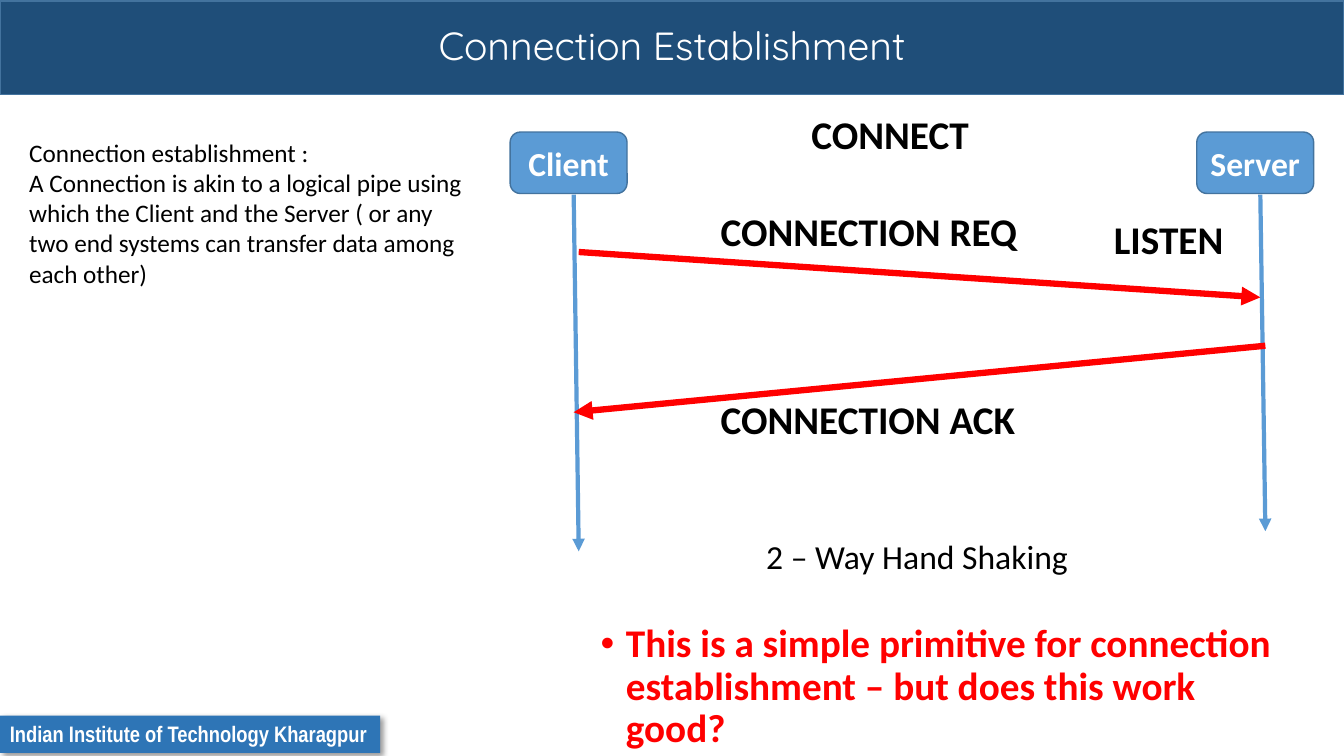
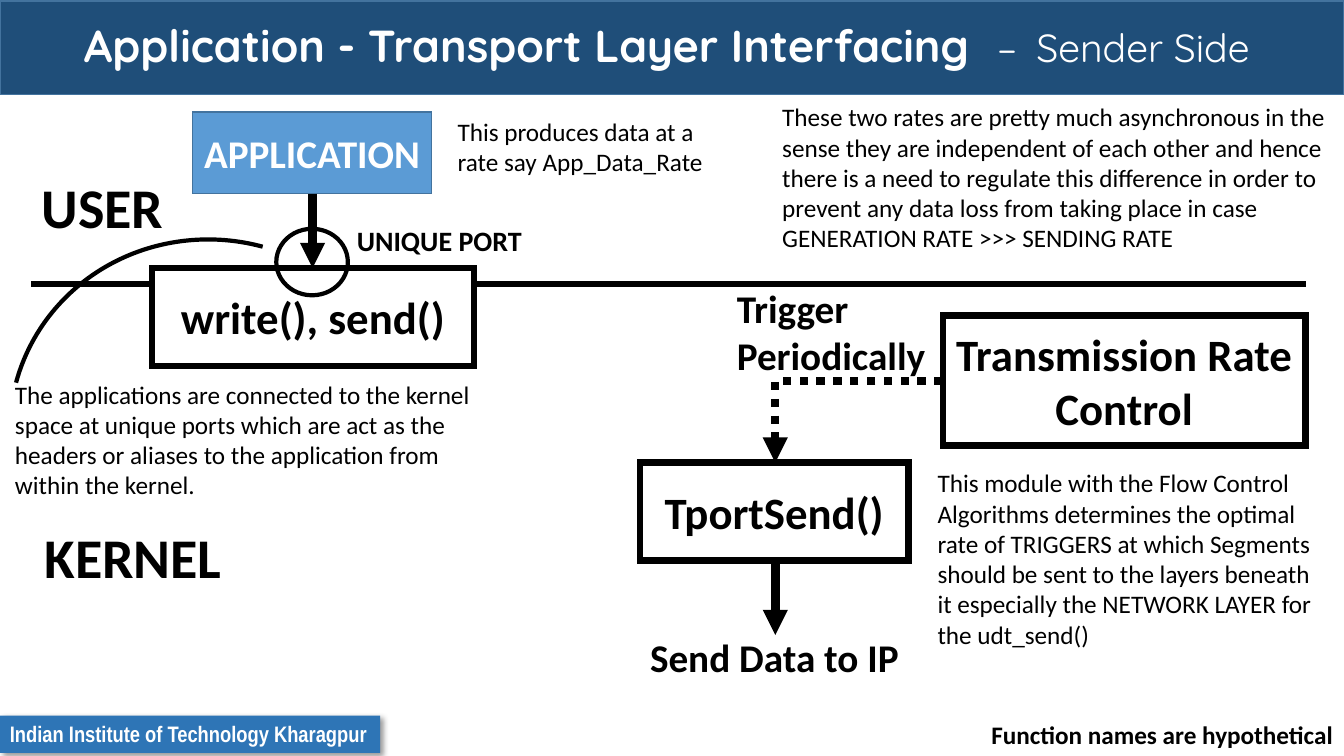
from dataclasses import dataclass

from lxml import etree
from pptx import Presentation
from pptx.dml.color import RGBColor
from pptx.enum import dml, shapes, text
from pptx.oxml.ns import qn
from pptx.util import Inches, Pt


@dataclass(frozen=True)
class Theme:
    band: str = "1F4E79"
    footer: str = "2E75B6"
    accent: str = "5B9BD5"
    accent_edge: str = "43739E"
    alert: str = "FF0000"
    black: str = "000000"
    white: str = "FFFFFF"
    title_font: str = "Quicksand"
    body_font: str = "Calibri"
    footer_font: str = "Arial Narrow"
    footer_size: int = 16
    note: int = 18
    port: int = 20
    label: int = 24
    heading: int = 28
    function: int = 32
    space: int = 40


THEME = Theme()
LEFT, CENTER, RIGHT = text.PP_ALIGN.LEFT, text.PP_ALIGN.CENTER, text.PP_ALIGN.RIGHT
RECTANGLE = shapes.MSO_SHAPE.RECTANGLE
WIDTH, HEIGHT = 13.33, 7.5
TITLE_BAND = (0, 0.01, WIDTH, 0.93)
FOOTER_BAND = (0, 7.1, 3.77, 0.37)
FOOTER = "Indian Institute of Technology Kharagpur"

# Title runs: text, size, bold, letter spacing in points
HANDSHAKE_TITLE = [("Connection Establishment", THEME.heading, False, 0)]
INTERFACE_TITLE = [
    ("Application - Transport Layer Interfacing", THEME.function, True, 0),
    (" ", THEME.heading, False, 12),
    ("– ", THEME.heading, False, 3),
    ("Sender Side ", THEME.heading, False, 0),
]

# Actors: name, left edge, end of lifeline
ACTORS = [("Client", 5.06, 5.47), ("Server", 11.87, 5.27)]
ACTOR_TOP, ACTOR_WIDTH, ACTOR_HEIGHT = 1.31, 1.16, 0.61
LIFELINE_OFFSET, LIFELINE_TOP, LIFELINE_SLANT = 0.63, 1.93, 0.05
MESSAGES = [((5.74, 2.5), (12.5, 2.95)), ((12.55, 3.43), (5.69, 4.09))]

# Primitives: text, position
PRIMITIVES = [
    ("LISTEN", (10.95, 2.09, 1.3, 0.57)),
    ("CONNECT", (7.95, 1.05, 1.78, 0.57)),
    ("CONNECTION REQ", (7.05, 2.01, 3.18, 0.57)),
    ("CONNECTION ACK", (7.05, 3.87, 3.18, 0.57)),
]
CONNECTION_NOTE = [
    "Connection establishment :",
    "A Connection is akin to a logical pipe using which the Client and the Server "
    "( or any two end systems can transfer data among each other)",
]
HANDSHAKE_CAPTION = "2 – Way Hand Shaking"
QUESTION = "This is a simple primitive for connection establishment – but does this work good?"

APPLICATION = ("APPLICATION", (1.91, 1.11, 2.37, 0.81))
MODULES = [
    ("write(), send()", (1.51, 2.66, 3.19, 0.97)),
    ("TportSend()", (6.35, 4.59, 2.66, 0.97)),
    ("Transmission Rate Control", (9.35, 3.13, 3.6, 1.29)),
]
KERNEL_BOUNDARY = ((0.31, 2.82), (12.95, 2.82))
FLOWS = [((3.1, 1.92), (3.1, 2.66)), ((7.69, 5.55), (7.69, 6.3))]
TRIGGER = ((9.35, 3.78), (7.69, 4.59))
PORT_CIRCLE = (2.74, 2.27, 0.71, 0.66)
PORT_ARC = (0.16, 2.31, 3.88, 4.02)
ARC_ROTATION = 285.1

# Labels: text, position, size, alignment
LABELS = [
    ("Send Data to IP", (5.88, 6.23, 3.6, 0.57), THEME.heading, CENTER),
    ("USER", (0.27, 1.66, 1.49, 0.77), THEME.space, CENTER),
    ("KERNEL", (0.27, 5.13, 2.1, 0.77), THEME.space, CENTER),
    ("Trigger Periodically", (7.21, 2.77, 2.73, 1.04), THEME.heading, LEFT),
    ("Function names are hypothetical", (5.89, 7.09, 7.43, 0.4), THEME.note, RIGHT),
    ("UNIQUE PORT", (3.44, 2.17, 1.89, 0.44), THEME.port, LEFT),
]
NOTES = [
    ("These two rates are pretty much asynchronous in the sense they are independent "
     "of each other and hence there is a need to regulate this difference in order to "
     "prevent any data loss from taking place in case GENERATION RATE >>> SENDING RATE",
     (7.66, 0.96, 5.67, 1.62)),
    ("This module with the Flow Control Algorithms determines the optimal rate of "
     "TRIGGERS at which Segments should be sent to the layers beneath it especially "
     "the NETWORK LAYER for the udt_send()", (9.2, 4.59, 4.01, 1.92)),
    ("This produces data at a rate say App_Data_Rate", (4.44, 1.1, 2.7, 0.71)),
    ("The applications are connected to the kernel space at unique ports which are act "
     "as the headers or aliases to the application from within the kernel.",
     (0.05, 3.71, 4.89, 1.31)),
]


def rgb(color):
    return RGBColor.from_string(color)


def inches(values):
    return [Inches(value) for value in values]


def add_run(paragraph, words, size, color=THEME.black, bold=False, font=THEME.body_font):
    run = paragraph.add_run()
    run.text = words
    run.font.size, run.font.bold, run.font.name = Pt(size), bold, font
    run.font.color.rgb = rgb(color)
    return run


def add_text(slide, paragraphs, place, size, align=LEFT, wrap=True, **style):
    box = slide.shapes.add_textbox(*inches(place))
    frame = box.text_frame
    frame.word_wrap = wrap
    frame.auto_size = text.MSO_AUTO_SIZE.SHAPE_TO_FIT_TEXT
    for index, words in enumerate(paragraphs):
        paragraph = frame.add_paragraph() if index else frame.paragraphs[0]
        paragraph.alignment = align
        add_run(paragraph, words, size, **style)
    return box


def add_box(slide, kind, place, fill, edge, edge_width):
    shape = slide.shapes.add_shape(kind, *inches(place))
    shape.shadow.inherit = False
    if fill:
        shape.fill.solid()
        shape.fill.fore_color.rgb = rgb(fill)
    else:
        shape.fill.background()
    if edge:
        shape.line.color.rgb = rgb(edge)
        shape.line.width = Pt(edge_width)
        etree.SubElement(shape.line._get_or_add_ln(), qn("a:miter"), lim="800000")
    else:
        shape.line.fill.background()
    return shape


def add_labelled_box(slide, words, place, size, kind=RECTANGLE, fill=THEME.accent,
                     edge=THEME.accent_edge, edge_width=1, color=THEME.white):
    shape = add_box(slide, kind, place, fill, edge, edge_width)
    frame = shape.text_frame
    frame.word_wrap = True
    frame.vertical_anchor = text.MSO_ANCHOR.MIDDLE
    frame.paragraphs[0].alignment = CENTER
    add_run(frame.paragraphs[0], words, size, color, bold=True)


def add_line(slide, start, end, color, width, arrow=True, kind=shapes.MSO_CONNECTOR.STRAIGHT):
    line = slide.shapes.add_connector(kind, *inches(start + end))
    line.line.color.rgb = rgb(color)
    line.line.width = Pt(width)
    if arrow:
        etree.SubElement(line.line._get_or_add_ln(), qn("a:tailEnd"), type="triangle")
    etree.SubElement(line.element.spPr, qn("a:effectLst"))
    return line


def add_trigger(slide):
    """Dotted arrow with one bend, going left and then down."""
    line = add_line(slide, *TRIGGER, THEME.black, 6, kind=shapes.MSO_CONNECTOR.ELBOW)
    line.line.dash_style = dml.MSO_LINE.ROUND_DOT
    line.element.spPr.find(qn("a:prstGeom")).set("prst", "bentConnector2")


def add_shadow(shape):
    effects = shape.element.spPr.find(qn("a:effectLst"))
    shadow = etree.SubElement(effects, qn("a:outerShdw"), blurRad=str(Pt(4)),
                              dist=str(Pt(3)), dir="2700000", algn="tl", rotWithShape="0")
    color = etree.SubElement(shadow, qn("a:srgbClr"), val=THEME.black)
    etree.SubElement(color, qn("a:alpha"), val="40000")


def add_bullet(paragraph):
    properties = paragraph._p.get_or_add_pPr()
    properties.set("marL", str(Inches(0.25)))
    properties.set("indent", str(-Inches(0.25)))
    etree.SubElement(properties, qn("a:buFont"), typeface="Arial")
    etree.SubElement(properties, qn("a:buChar"), char="•")


def add_bands(slide):
    """Title band and footer, behind everything else on the slide."""
    band = add_box(slide, RECTANGLE, TITLE_BAND, THEME.band, THEME.accent_edge, 1)
    footer = add_box(slide, RECTANGLE, FOOTER_BAND, THEME.footer, None, 0)
    add_shadow(footer)
    frame = footer.text_frame
    frame.word_wrap = False
    frame.vertical_anchor = text.MSO_ANCHOR.TOP
    frame.paragraphs[0].alignment = LEFT
    add_run(frame.paragraphs[0], FOOTER, THEME.footer_size, THEME.white, True, THEME.footer_font)
    for shape in (footer, band):
        slide.shapes.element.insert(2, shape.element)


def add_slide(presentation, title_runs):
    slide = presentation.slides.add_slide(presentation.slide_layouts[5])
    add_bands(slide)
    title = slide.shapes.title
    title.left, title.top, title.width, title.height = inches(TITLE_BAND)
    frame = title.text_frame
    frame.auto_size = text.MSO_AUTO_SIZE.NONE
    frame.vertical_anchor = text.MSO_ANCHOR.MIDDLE
    paragraph = frame.paragraphs[0]
    paragraph.alignment, paragraph.line_spacing = CENTER, 0.9
    for words, size, bold, spacing in title_runs:
        run = add_run(paragraph, words, size, THEME.white, bold, THEME.title_font)
        if spacing:
            run.font._element.set("spc", str(spacing * 100))
    return slide


def build_handshake(slide):
    question = add_text(slide, [QUESTION], (5.86, 6.14, 6.98, 1.23), THEME.heading,
                        color=THEME.alert, bold=True)
    paragraph = question.text_frame.paragraphs[0]
    add_bullet(paragraph)
    paragraph.line_spacing = 0.9

    for name, left, bottom in ACTORS:
        x = left + LIFELINE_OFFSET
        add_line(slide, (x, LIFELINE_TOP), (x + LIFELINE_SLANT, bottom), THEME.accent, 3)
        add_labelled_box(slide, name, (left, ACTOR_TOP, ACTOR_WIDTH, ACTOR_HEIGHT),
                         THEME.label, shapes.MSO_SHAPE.ROUNDED_RECTANGLE)
    for start, end in MESSAGES:
        add_line(slide, start, end, THEME.alert, 4.5)
    for words, place in PRIMITIVES:
        add_text(slide, [words], place, THEME.heading, wrap=False, bold=True)

    add_text(slide, CONNECTION_NOTE, (0.19, 1.31, 4.59, 1.62), THEME.note)
    add_text(slide, [HANDSHAKE_CAPTION], (5.69, 5.27, 6.81, 0.5), THEME.label, CENTER)


def build_interface(slide):
    add_line(slide, *KERNEL_BOUNDARY, THEME.black, 4.5, arrow=False)
    add_labelled_box(slide, *APPLICATION, THEME.heading)
    for words, place in MODULES:
        add_labelled_box(slide, words, place, THEME.function, fill=THEME.white,
                         edge=THEME.black, edge_width=4.5, color=THEME.black)
    for start, end in FLOWS:
        add_line(slide, start, end, THEME.black, 6)
    add_trigger(slide)

    for words, place, size, align in LABELS:
        add_text(slide, [words], place, size, align, bold=True)
    for words, place in NOTES:
        add_text(slide, [words], place, THEME.note)

    add_box(slide, shapes.MSO_SHAPE.OVAL, PORT_CIRCLE, None, THEME.black, 3)
    arc = add_box(slide, shapes.MSO_SHAPE.ARC, PORT_ARC, None, THEME.black, 3)
    arc.rotation = ARC_ROTATION


def main():
    presentation = Presentation()
    presentation.slide_width, presentation.slide_height = Inches(WIDTH), Inches(HEIGHT)
    build_handshake(add_slide(presentation, HANDSHAKE_TITLE))
    build_interface(add_slide(presentation, INTERFACE_TITLE))
    presentation.save("out.pptx")


if __name__ == "__main__":
    main()
